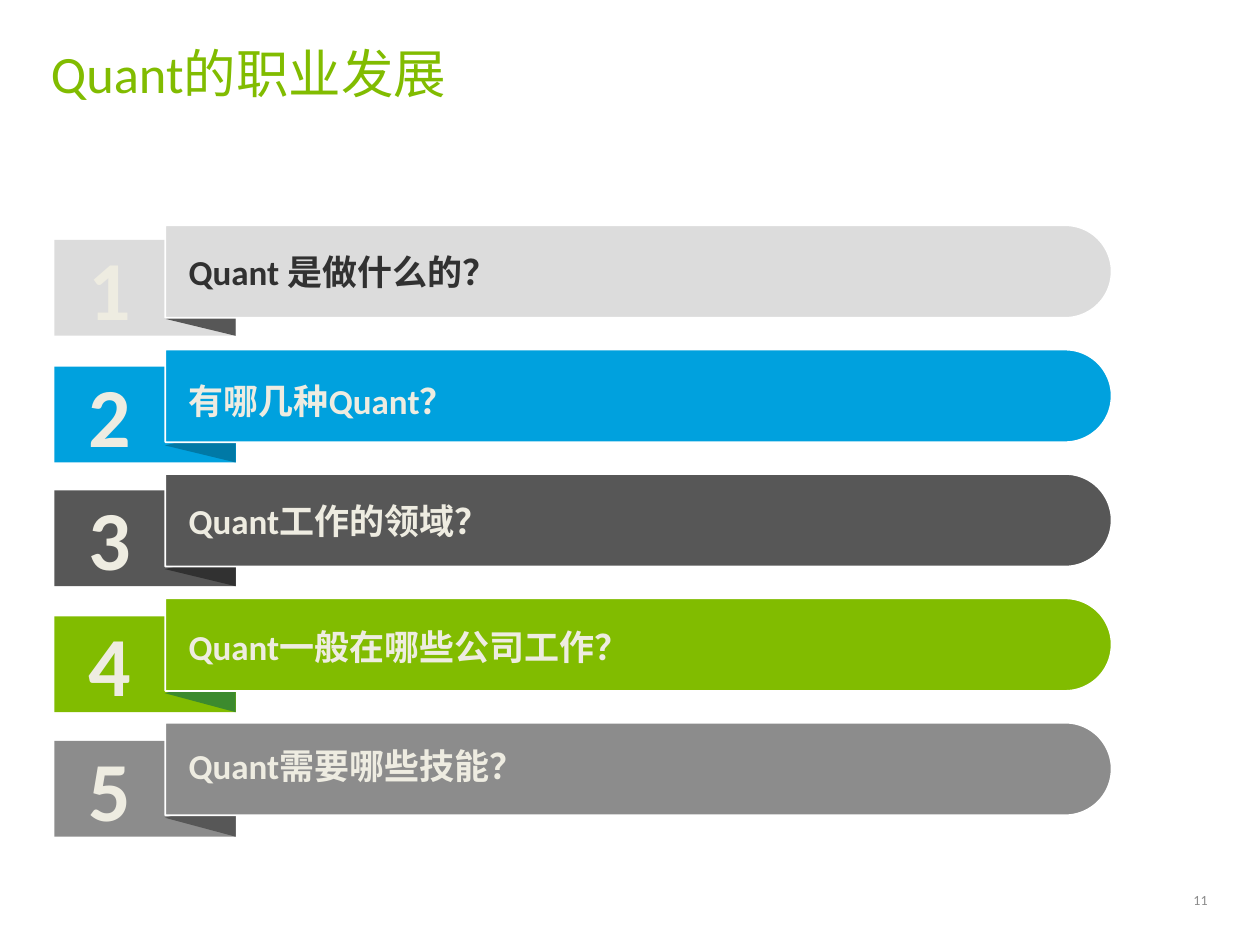
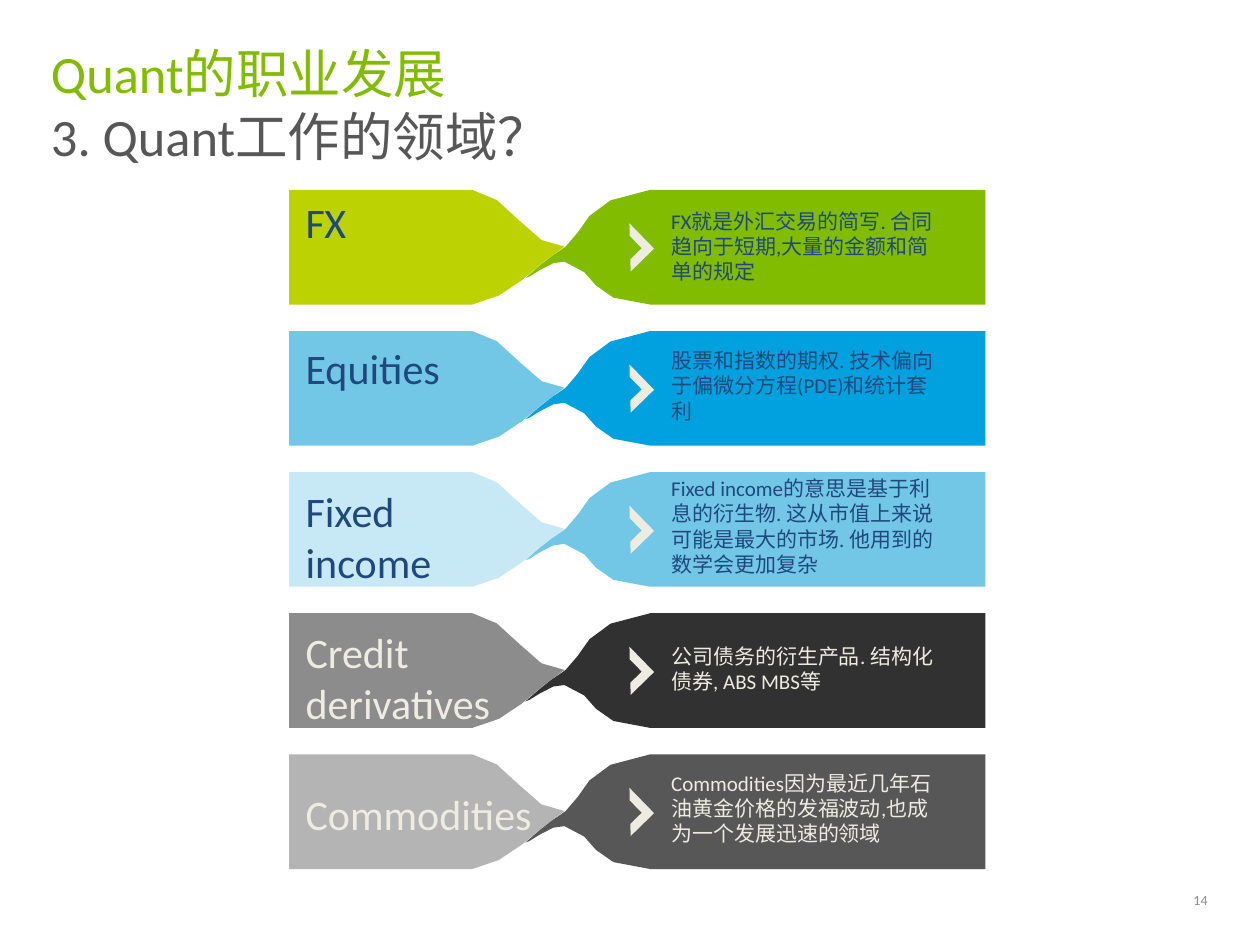
"""Build two slides on quant careers: an agenda and the fields of work."""
import dataclasses

import pptx
import pptx.dml.color
import pptx.dml.fill
import pptx.enum.shapes
import pptx.enum.text
import pptx.presentation
import pptx.shapes.autoshape
import pptx.slide
import pptx.util

SLIDE_WIDTH = pptx.util.Inches(10)
SLIDE_HEIGHT = pptx.util.Inches(7.5)
COLUMNS, ROWS = 100, 75
FONT = "Calibri"
CURVE_STEPS = 4
COLOURS = {
    "green": "81BC00", "dark green": "3C8A2E", "lime": "BDD203",
    "blue": "00A1DE", "dark blue": "0079A6", "sky": "72C7E7", "ice": "C7E9F5",
    "navy": "1F497D", "cream": "EEECE1", "white": "FFFFFF",
    "black": "313131", "charcoal": "575757", "grey": "8C8C8C",
    "silver": "B4B4B4", "pale": "DCDCDC",
}
SHAPES = pptx.enum.shapes.MSO_SHAPE
ALIGN = pptx.enum.text.PP_ALIGN
ANCHOR = pptx.enum.text.MSO_ANCHOR

Curve = tuple[float, ...]


@dataclasses.dataclass(frozen=True)
class Area:
    left: float
    top: float
    width: float
    height: float


@dataclasses.dataclass(frozen=True)
class TextStyle:
    size: float
    bold: bool = False
    align: ALIGN = ALIGN.LEFT
    anchor: ANCHOR = ANCHOR.TOP
    inset: float = 0


@dataclasses.dataclass(frozen=True)
class Question:
    text: str
    top: float
    tab_top: float
    fill: str
    fold: str
    fold_height: float = 2.7
    ink: str = "cream"


@dataclasses.dataclass(frozen=True)
class Field:
    name: str
    name_top: float
    detail: str
    detail_top: float
    left_fill: str
    right_fill: str
    ink: str
    name_width: float = 16.1
    detail_height: float = 6.1


TITLE = "Quant的职业发展"
TITLE_STYLE = TextStyle(30)
PAGE_NUMBER_STYLE = TextStyle(8, align=ALIGN.RIGHT, anchor=ANCHOR.MIDDLE)
NUMBER_STYLE = TextStyle(48, bold=True, align=ALIGN.CENTER, inset=0.4)
QUESTION_STYLE = TextStyle(20, bold=True)
NAME_STYLE = TextStyle(24, inset=0.4)
DETAIL_STYLE = TextStyle(12)

QUESTIONS = [
    Question("Quant 是做什么的？", 19.9, 19.05, "pale", "charcoal", ink="black"),
    Question("有哪几种Quant？", 30.1, 29.1, "blue", "dark blue"),
    Question("Quant工作的领域？", 39.65, 38.92, "charcoal", "black"),
    Question("Quant一般在哪些公司工作？", 49.65, 48.92, "green", "dark green", 3),
    Question("Quant需要哪些技能？", 59.1, 58.8, "grey", "charcoal", 3),
]
FIELDS = [
    Field("FX", 15.2, "FX就是外汇交易的简写. 合同趋向于短期,大量的金额和简单的规定",
          16.55, "lime", "green", "navy", 6.9),
    Field("Equities", 26.8, "股票和指数的期权. 技术偏向于偏微分方程(PDE)和统计套利",
          27.6, "sky", "blue", "navy"),
    Field("Fixed income", 38.15,
          "Fixed income的意思是基于利息的衍生物. 这从市值上来说可能是最大的市场. 他用到的数学会更加复杂",
          37.75, "ice", "sky", "navy", detail_height=8.1),
    Field("Credit derivatives", 49.35, "公司债务的衍生产品. 结构化债券, ABS MBS等",
          51.05, "grey", "black", "cream", detail_height=4),
    Field("Commodities", 62.2,
          "Commodities因为最近几年石油黄金价格的发福波动,也成为一个发展迅速的领域",
          61.15, "silver", "charcoal", "cream", 19.5),
]
LEFT_WING: list[Curve] = [
    (22.95, 0), (37.5, 0), (40.2, 0.1, 42.3, 4.9, 44.8, 4.5),
    (42.4, 6, 40.6, 8.6, 37.5, 9.1), (22.95, 9.1),
]
RIGHT_WING: list[Curve] = [
    (78.2, 0), (51.6, 0), (46.1, 0.7, 46.5, 3.3, 44.9, 4.5),
    (43.2, 5.6, 42.4, 6.4, 41.7, 7), (41.6, 7.3, 43.9, 5.4, 44.8, 5.7),
    (47.8, 6.5, 46.2, 8.8, 51.6, 9.1), (78.2, 9.1),
]


def across(columns: float) -> int:
    """Turn grid columns into a length."""
    return round(SLIDE_WIDTH * columns / COLUMNS)


def down(rows: float) -> int:
    """Turn grid rows into a length."""
    return round(SLIDE_HEIGHT * rows / ROWS)


def place(area: Area) -> tuple[int, int, int, int]:
    """Turn a grid area into left, top, width and height."""
    return across(area.left), down(area.top), across(area.width), down(area.height)


def centred(x: float, y: float, width: float, height: float) -> Area:
    """Give the area of a size around a centre."""
    return Area(x - width / 2, y - height / 2, width, height)


def set_values(target: object, values: dict[str, object]) -> None:
    """Set every named attribute of a target."""
    for name, value in values.items():
        setattr(target, name, value)


def colour(name: str) -> pptx.dml.color.RGBColor:
    """Look up a colour by name."""
    return pptx.dml.color.RGBColor.from_string(COLOURS[name])


def paint(fill: pptx.dml.fill.FillFormat, name: str) -> None:
    """Make a fill solid in a named colour."""
    fill.solid()
    fill.fore_color.rgb = colour(name)


def finish(shape: pptx.shapes.autoshape.Shape, fill: str, line: str = "") -> None:
    """Colour a shape, with an outline only where one is named."""
    shape.shadow.inherit = False
    paint(shape.fill, fill)
    if line:
        paint(shape.line.fill, line)
        shape.line.width = pptx.util.Pt(1)
    else:
        shape.line.fill.background()


def draw_shape(page: pptx.slide.Slide, kind: SHAPES, area: Area, fill: str,
               line: str = "", rotation: float = 0,
               adjustments: tuple[float, ...] = ()) -> None:
    """Draw a preset shape."""
    shape = page.shapes.add_shape(kind, *place(area))
    shape.rotation = rotation
    for index, value in enumerate(adjustments):
        shape.adjustments[index] = value
    finish(shape, fill, line)


def draw_text(page: pptx.slide.Slide, area: Area, lines: list[tuple[str, str]],
              style: TextStyle) -> None:
    """Write one paragraph of broken lines, each with its colour."""
    frame = page.shapes.add_textbox(*place(area)).text_frame
    inset = across(style.inset)
    set_values(frame, {
        "word_wrap": True, "vertical_anchor": style.anchor,
        "margin_left": inset, "margin_right": inset,
        "margin_top": inset, "margin_bottom": inset,
    })
    para = frame.paragraphs[0]
    para.alignment = style.align
    for index, (text, ink) in enumerate(lines):
        if index:
            para.add_line_break()
        span = para.add_run()
        span.text = text
        set_values(span.font, {"name": FONT, "size": pptx.util.Pt(style.size),
                               "bold": style.bold})
        span.font.color.rgb = colour(ink)


def flatten(outline: list[Curve]) -> list[tuple[float, float]]:
    """Turn corners and cubic curves into points."""
    points = [(outline[0][0], outline[0][1])]
    for part in outline[1:]:
        if len(part) == 2:
            points.append((part[0], part[1]))
            continue
        start = points[-1]
        for step in range(1, CURVE_STEPS + 1):
            t = step / CURVE_STEPS
            u = 1 - t
            x, y = (u ** 3 * start[axis] + 3 * u * u * t * part[axis]
                    + 3 * u * t * t * part[axis + 2] + t ** 3 * part[axis + 4]
                    for axis in (0, 1))
            points.append((x, y))
    return points


def draw_wing(page: pptx.slide.Slide, outline: list[Curve], top: float,
              fill: str) -> None:
    """Draw one side of a twisted ribbon."""
    points = [(across(x), down(top + y)) for x, y in flatten(outline)]
    builder = page.shapes.build_freeform(*points[0])
    builder.add_line_segments(points[1:], close=True)
    finish(builder.convert_to_shape(), fill)


def add_page(deck: pptx.presentation.Presentation, number: int,
             subtitle: str = "") -> pptx.slide.Slide:
    """Add a page with its title and number."""
    page = deck.slides.add_slide(deck.slide_layouts[6])
    paint(page.background.fill, "white")
    lines = [(TITLE, "green")]
    if subtitle:
        lines.append((subtitle, "charcoal"))
    draw_text(page, Area(4.05, 3.25, 91.7, 5.1), lines, TITLE_STYLE)
    draw_text(page, Area(87.15, 70.05, 8.7, 2.8), [(str(number), "grey")],
              PAGE_NUMBER_STYLE)
    return page


def draw_question(page: pptx.slide.Slide, index: int, question: Question) -> None:
    """Draw a numbered tab, its fold and its bar."""
    tab = Area(4.32, question.tab_top, 14.4, 7.6)
    fold_middle = tab.top + tab.height - question.fold_height / 2
    draw_shape(page, SHAPES.RECTANGLE, tab, question.fill)
    draw_shape(page, SHAPES.ISOSCELES_TRIANGLE,
               centred(15.9, fold_middle, question.fold_height, 5.6),
               question.fold, rotation=270)
    draw_shape(page, SHAPES.ROUND_2_SAME_RECTANGLE,
               centred(50.67, 21.55 + 9.87 * index, 7.35, 75.1), question.fill,
               "white", 90, (0.5, 0))
    draw_text(page, Area(4.9, tab.top - 0.68, 7.6, 8.9),
              [(str(index + 1), "cream")], NUMBER_STYLE)
    draw_text(page, Area(14.97, question.top, 69.5, 3.4),
              [(question.text, question.ink)], QUESTION_STYLE)


def draw_field(page: pptx.slide.Slide, index: int, field: Field) -> None:
    """Draw a twisted ribbon with a field and its detail."""
    top = 15.07 + 11.2 * index
    draw_wing(page, LEFT_WING, top, field.left_fill)
    draw_wing(page, RIGHT_WING, top, field.right_fill)
    draw_shape(page, SHAPES.HALF_FRAME, Area(48.7, top + 3.17, 2.6, 2.8), "cream",
               rotation=135.7, adjustments=(0.27, 0.26))
    draw_text(page, Area(23.85, field.name_top, field.name_width, 4.8),
              [(field.name, field.ink)], NAME_STYLE)
    draw_text(page, Area(53.27, field.detail_top, 21.3, field.detail_height),
              [(field.detail, field.ink)], DETAIL_STYLE)


def main() -> None:
    """Build and save the deck."""
    deck = pptx.Presentation()
    set_values(deck, {"slide_width": SLIDE_WIDTH, "slide_height": SLIDE_HEIGHT})
    agenda = add_page(deck, 11)
    for index, question in enumerate(QUESTIONS):
        draw_question(agenda, index, question)
    fields = add_page(deck, 14, "3. Quant工作的领域？")
    for index, field in enumerate(FIELDS):
        draw_field(fields, index, field)
    deck.save("out.pptx")


if __name__ == "__main__":
    main()
